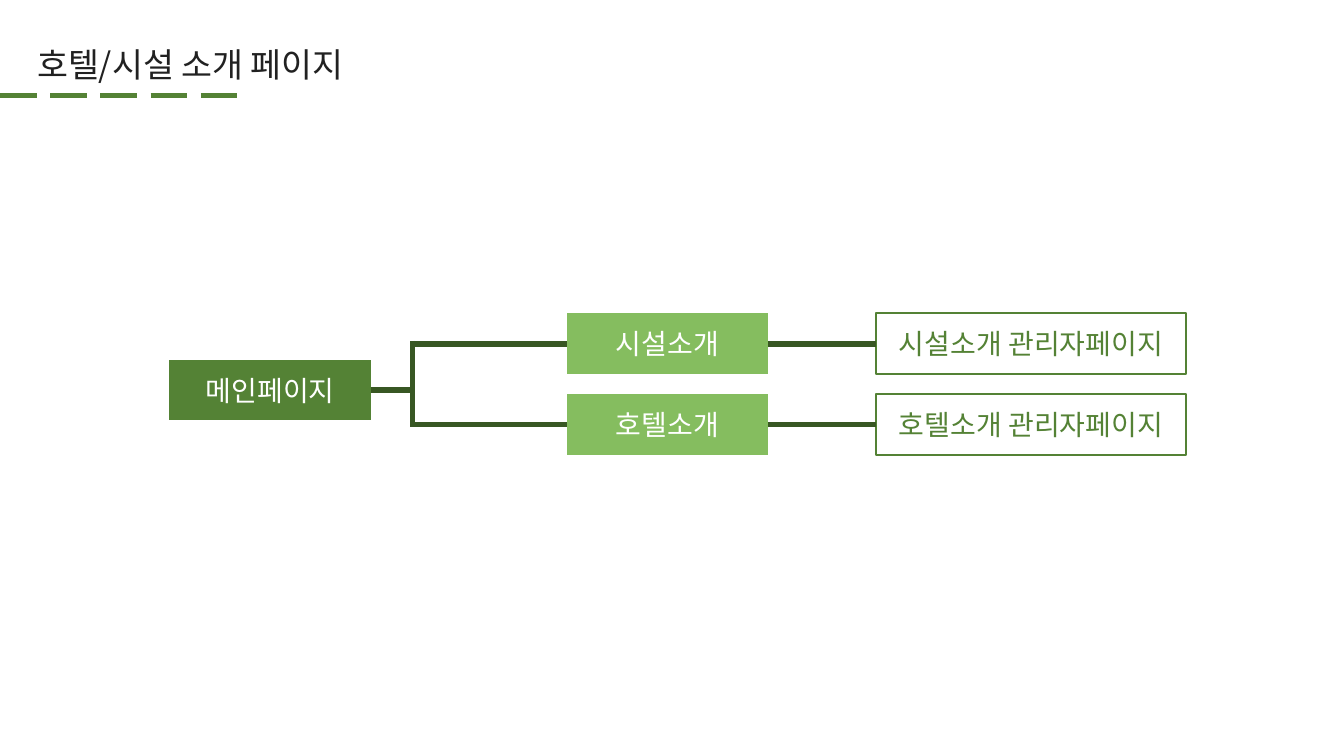
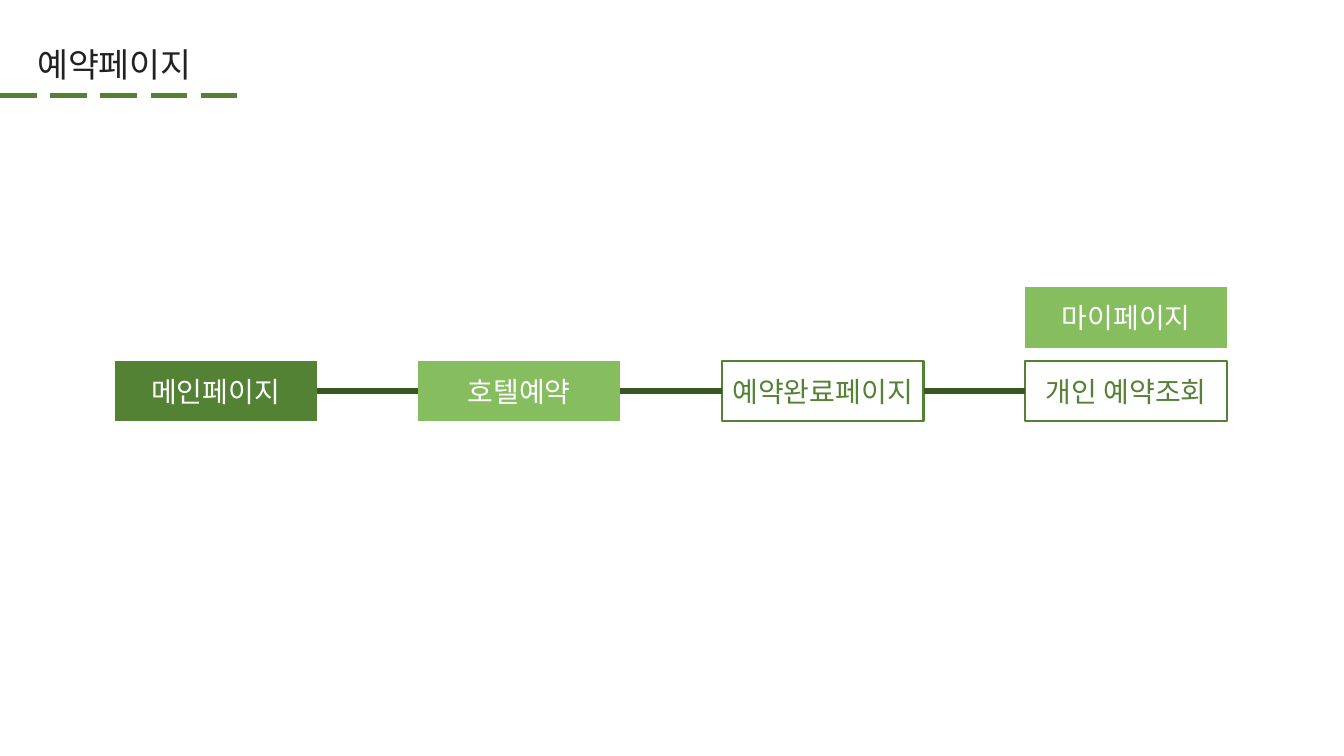
from dataclasses import dataclass

from lxml.etree import SubElement
from pptx import Presentation
from pptx.dml.color import RGBColor
from pptx.enum.dml import MSO_LINE_DASH_STYLE as Dash
from pptx.enum.shapes import MSO_CONNECTOR as Connector, MSO_SHAPE as Shape
from pptx.enum.text import MSO_ANCHOR as Anchor, PP_ALIGN as Align
from pptx.oxml.ns import qn
from pptx.util import Inches, Pt


@dataclass(frozen=True)
class Theme:
    font: str = "Noto Sans CJK KR"
    title_size: int = 24
    box_size: int = 20
    ink: str = "212121"
    white: str = "FFFFFF"
    green: str = "548235"
    light: str = "85BD5F"
    dark: str = "385723"
    link_width: float = 4
    rule_width: float = 3.25
    outline_width: float = 1.5


THEME = Theme()

# Box style: fill, outline, text colour
STYLES = {
    "main": (THEME.green, None, THEME.white),
    "menu": (THEME.light, None, THEME.white),
    "page": (None, THEME.green, THEME.green),
}
BOX_WIDTH, WIDE_BOX, BOX_HEIGHT = 2, 3.07, 0.6
SITE_COLUMNS = (1.68, 5.62, 8.69)
SITE_ROWS = (3.11, 3.91)
FORK_X = 4.09
STEP_COLUMNS = [1.14 + 3.01 * step for step in range(4)]
STEP_ROW, MY_PAGE_ROW = 3.58, 2.85
RIGHT_SIDE, LEFT_SIDE = 3, 1

# Box: text, style, left, top, width. Link: start box, end boxes.
PAGES = [
    {
        "title": "호텔/시설 소개 페이지",
        "boxes": [
            ("메인페이지", "main", SITE_COLUMNS[0], 3.57, BOX_WIDTH),
            ("시설소개", "menu", SITE_COLUMNS[1], SITE_ROWS[0], BOX_WIDTH),
            ("호텔소개", "menu", SITE_COLUMNS[1], SITE_ROWS[1], BOX_WIDTH),
            ("시설소개 관리자페이지", "page", SITE_COLUMNS[2], SITE_ROWS[0], WIDE_BOX),
            ("호텔소개 관리자페이지", "page", SITE_COLUMNS[2], SITE_ROWS[1], WIDE_BOX),
        ],
        "links": [
            ("메인페이지", ["시설소개", "호텔소개"]),
            ("시설소개", ["시설소개 관리자페이지"]),
            ("호텔소개", ["호텔소개 관리자페이지"]),
        ],
    },
    {
        "title": "예약페이지",
        "boxes": [
            ("메인페이지", "main", STEP_COLUMNS[0], STEP_ROW, BOX_WIDTH),
            ("호텔예약", "menu", STEP_COLUMNS[1], STEP_ROW, BOX_WIDTH),
            ("예약완료페이지", "page", STEP_COLUMNS[2], STEP_ROW, BOX_WIDTH),
            ("개인 예약조회", "page", STEP_COLUMNS[3], STEP_ROW, BOX_WIDTH),
            ("마이페이지", "menu", STEP_COLUMNS[3], MY_PAGE_ROW, BOX_WIDTH),
        ],
        "links": [
            ("메인페이지", ["호텔예약"]),
            ("호텔예약", ["예약완료페이지"]),
            ("예약완료페이지", ["개인 예약조회"]),
        ],
    },
]


def rgb(colour):
    return RGBColor.from_string(colour)


def write(box, text, size, colour, align):
    frame = box.text_frame
    frame.word_wrap = True
    frame.vertical_anchor = Anchor.MIDDLE
    para = frame.paragraphs[0]
    para.alignment = align
    span = para.add_run()
    span.text = text
    span.font.size = Pt(size)
    span.font.color.rgb = rgb(colour)
    span.font.name = THEME.font
    # Korean text takes its typeface from the East Asian slot
    SubElement(span.font._element, qn("a:ea"), typeface=THEME.font)
    return para


def add_line(page, start, end, colour, width):
    line = page.shapes.add_connector(Connector.STRAIGHT, *start, *end)
    line.line.color.rgb = rgb(colour)
    line.line.width = Pt(width)
    SubElement(line._element.spPr, qn("a:effectLst"))
    return line


def add_title(page, title):
    rule = add_line(page, (0, Inches(0.95)), (Inches(2.49), Inches(0.95)),
                    THEME.green, THEME.rule_width)
    rule.line.dash_style = Dash.LONG_DASH
    box = page.shapes.add_textbox(Inches(0.27), Inches(0.38), Inches(3.73), Inches(0.57))
    write(box, title, THEME.title_size, THEME.ink, Align.LEFT).line_spacing = 0.9


def add_box(page, text, style, left, top, width):
    fill, outline, colour = STYLES[style]
    box = page.shapes.add_shape(Shape.FLOWCHART_PROCESS, Inches(left), Inches(top),
                                Inches(width), Inches(BOX_HEIGHT))
    box.shadow.inherit = False
    if fill:
        box.fill.solid()
        box.fill.fore_color.rgb = rgb(fill)
    else:
        box.fill.background()
    if outline:
        box.line.color.rgb = rgb(outline)
        box.line.width = Pt(THEME.outline_width)
    else:
        box.line.fill.background()
    write(box, text, THEME.box_size, colour, Align.CENTER)
    return box


def middle(box):
    return box.top + box.height // 2


def add_link(page, source, targets):
    """Join source to one target directly, or to several through a fork."""
    def link(start, end):
        return add_line(page, start, end, THEME.dark, THEME.link_width)

    exit_point = (source.left + source.width, middle(source))
    if len(targets) == 1:
        line = link(exit_point, (targets[0].left, middle(targets[0])))
        line.begin_connect(source, RIGHT_SIDE)
        line.end_connect(targets[0], LEFT_SIDE)
        return
    fork = Inches(FORK_X)
    link(exit_point, (fork, middle(source))).begin_connect(source, RIGHT_SIDE)
    for target in targets:
        link((fork, middle(target)), (target.left, middle(target))).end_connect(
            target, LEFT_SIDE)
    levels = [middle(target) for target in targets]
    overlap = Pt(THEME.link_width / 2)
    link((fork, min(levels) - overlap), (fork, max(levels) + overlap))


def main():
    deck = Presentation()
    deck.slide_width, deck.slide_height = Inches(13.33), Inches(7.5)
    for content in PAGES:
        page = deck.slides.add_slide(deck.slide_layouts[6])
        add_title(page, content["title"])
        boxes = {box[0]: add_box(page, *box) for box in content["boxes"]}
        for source, targets in content["links"]:
            add_link(page, boxes[source], [boxes[target] for target in targets])
    deck.save("out.pptx")


if __name__ == "__main__":
    main()
